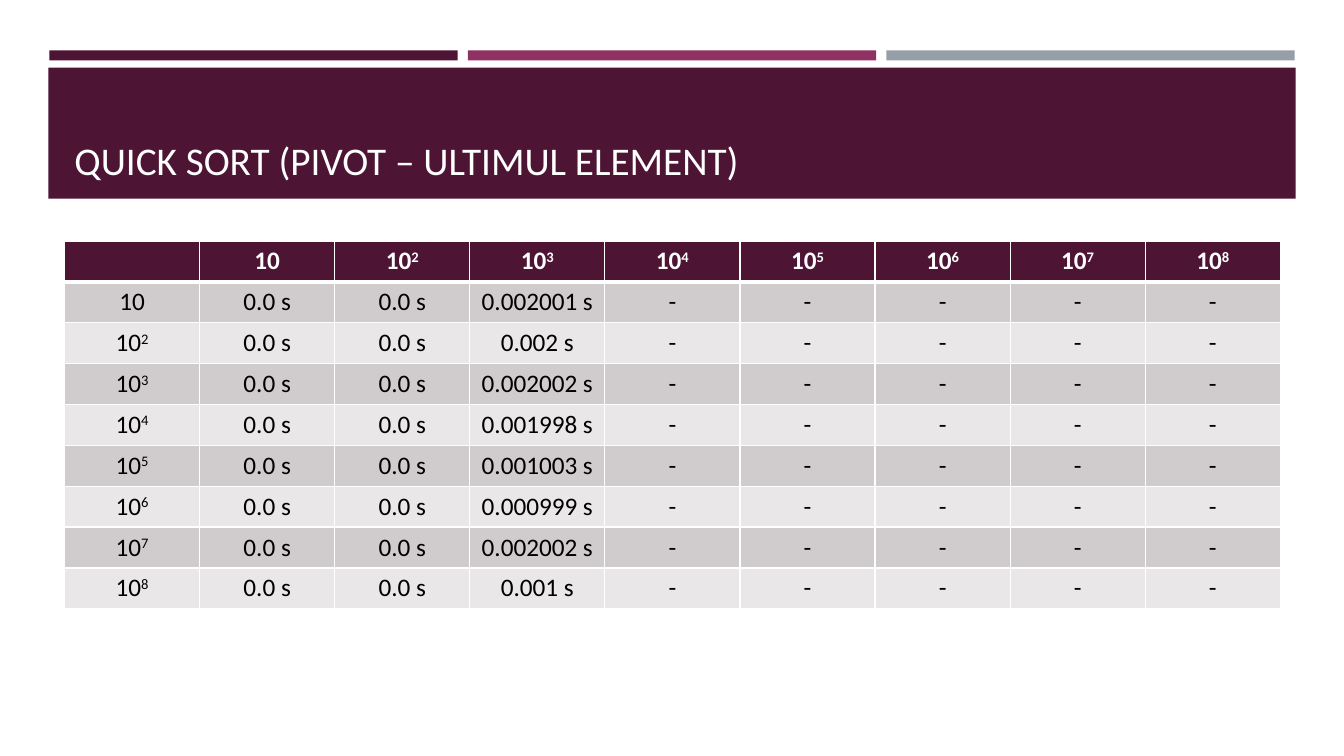
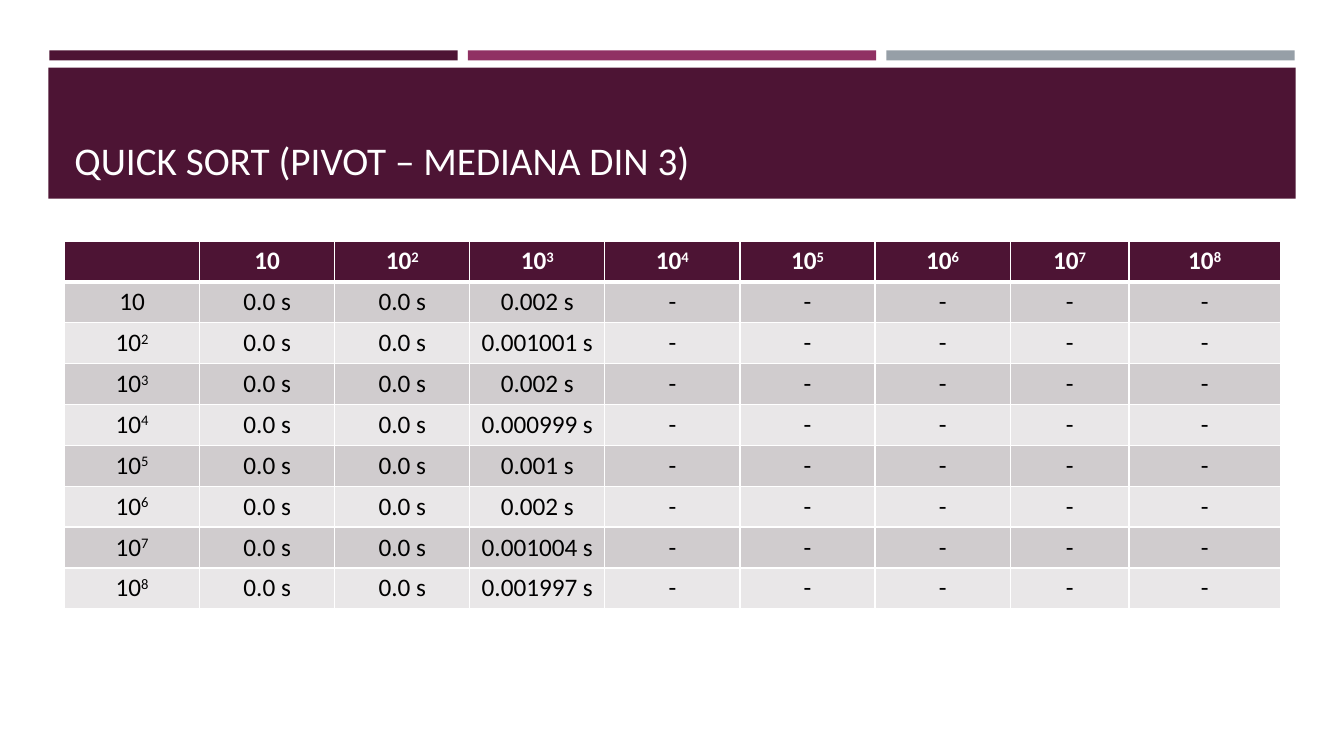
from lxml import etree
from pptx import Presentation
from pptx.dml.color import RGBColor
from pptx.enum.shapes import MSO_SHAPE
from pptx.enum.text import MSO_ANCHOR, PP_ALIGN
from pptx.oxml.ns import qn
from pptx.util import Inches, Pt

RECT = MSO_SHAPE.RECTANGLE
BOTTOM = MSO_ANCHOR.BOTTOM
CENTER = PP_ALIGN.CENTER

PLUM = RGBColor(0x4D, 0x14, 0x34)
PINK = RGBColor(0x90, 0x31, 0x63)
GRAY = RGBColor(0x96, 0x9F, 0xA7)
DARK = RGBColor(0xD0, 0xCC, 0xCE)
PALE = RGBColor(0xE9, 0xE7, 0xE8)
WHITE = RGBColor(0xFF, 0xFF, 0xFF)
BLACK = RGBColor(0x00, 0x00, 0x00)

FONT = "Calibri"
BARS = (0.49, 0.5, 12.35, 0.1)
BAND = (0.48, 0.67, 12.37, 1.3)
GRID = (0.64, 2.39, 12.06, 3.65)
GAP = 0.1
PAD = 0.16
POWERS = range(1, 9)
EVEN = [1.34] * 9
UNEVEN = [1.34] * 7 + [1.18, 1.5]

SLIDES = [
    ("QUICK SORT (PIVOT – ULTIMUL ELEMENT)", EVEN,
     ["0.002001", "0.002", "0.002002", "0.001998",
      "0.001003", "0.000999", "0.002002", "0.001"]),
    ("QUICK SORT (PIVOT – MEDIANA DIN 3)", UNEVEN,
     ["0.002", "0.001001", "0.002", "0.000999",
      "0.001", "0.002", "0.001004", "0.001997"]),
]


def style(para, size, color, bold=False):
    """Set the font of a paragraph."""
    font = para.font
    font.name, font.size, font.bold = FONT, Pt(size), bold
    font.color.rgb = color


def block(slide, box, color):
    """Draw a plain filled rectangle."""
    shape = slide.shapes.add_shape(RECT, *map(Inches, box))
    shape.shadow.inherit = False
    shape.fill.solid()
    shape.fill.fore_color.rgb = color
    shape.line.fill.background()


def stripes(slide, box):
    """Split the box into three equal coloured bars."""
    left, top, width, height = box
    colors = (PLUM, PINK, GRAY)
    size = (width - GAP * (len(colors) - 1)) / len(colors)
    for i, color in enumerate(colors):
        block(slide, (left + i * (size + GAP), top, size, height), color)


def banner(slide, box, title):
    """Fill the box and set the title at its foot."""
    block(slide, box, PLUM)
    left, top, width, height = box
    inner = (left + PAD, top + GAP, width - 2 * PAD, height - 2 * GAP)
    frame = slide.shapes.add_textbox(*map(Inches, inner)).text_frame
    frame.word_wrap = True
    frame.vertical_anchor = BOTTOM
    para = frame.paragraphs[0]
    para.text = title
    style(para, 28, WHITE)


def border(cell, row):
    """Give a cell white borders, heavy below the header row."""
    props = cell._tc.get_or_add_tcPr()
    heavy = {(0, "B"), (1, "T")}
    for side in "LRTB":
        width = Pt(3 if (row, side) in heavy else 1)
        line = etree.SubElement(props, qn("a:ln" + side), w=str(width))
        fill = etree.SubElement(line, qn("a:solidFill"))
        etree.SubElement(fill, qn("a:srgbClr"), val=str(WHITE))


def write(cell, row, text, power):
    """Fill one cell with text and an optional raised exponent."""
    border(cell, row)
    cell.fill.solid()
    cell.fill.fore_color.rgb = (DARK if row % 2 else PALE) if row else PLUM
    para = cell.text_frame.paragraphs[0]
    para.alignment = CENTER
    style(para, 18, BLACK if row else WHITE, row == 0)
    if text:
        para.add_run().text = text
    if power > 1:
        run = para.add_run()
        run.text = str(power)
        run.font._element.set("baseline", "30000")


def timing(slide, box, widths, times):
    """Tabulate run times by power of ten."""
    heads = [("10", power) for power in POWERS]
    rows = [[("", 0)] + heads]
    for head, time in zip(heads, times):
        cells = ["0.0 s", "0.0 s", time + " s"] + ["-"] * 5
        rows.append([head] + [(text, 0) for text in cells])
    table = slide.shapes.add_table(
        len(rows), len(widths), *map(Inches, box)).table
    for column, width in zip(table.columns, widths):
        column.width = Inches(width)
    for r, row in enumerate(rows):
        for c, (text, power) in enumerate(row):
            write(table.cell(r, c), r, text, power)


def main():
    """Build and save the slides."""
    deck = Presentation()
    deck.slide_width, deck.slide_height = Inches(13.33), Inches(7.5)
    for title, widths, times in SLIDES:
        slide = deck.slides.add_slide(deck.slide_layouts[6])
        stripes(slide, BARS)
        banner(slide, BAND, title)
        timing(slide, GRID, widths, times)
    deck.save("out.pptx")


if __name__ == "__main__":
    main()
